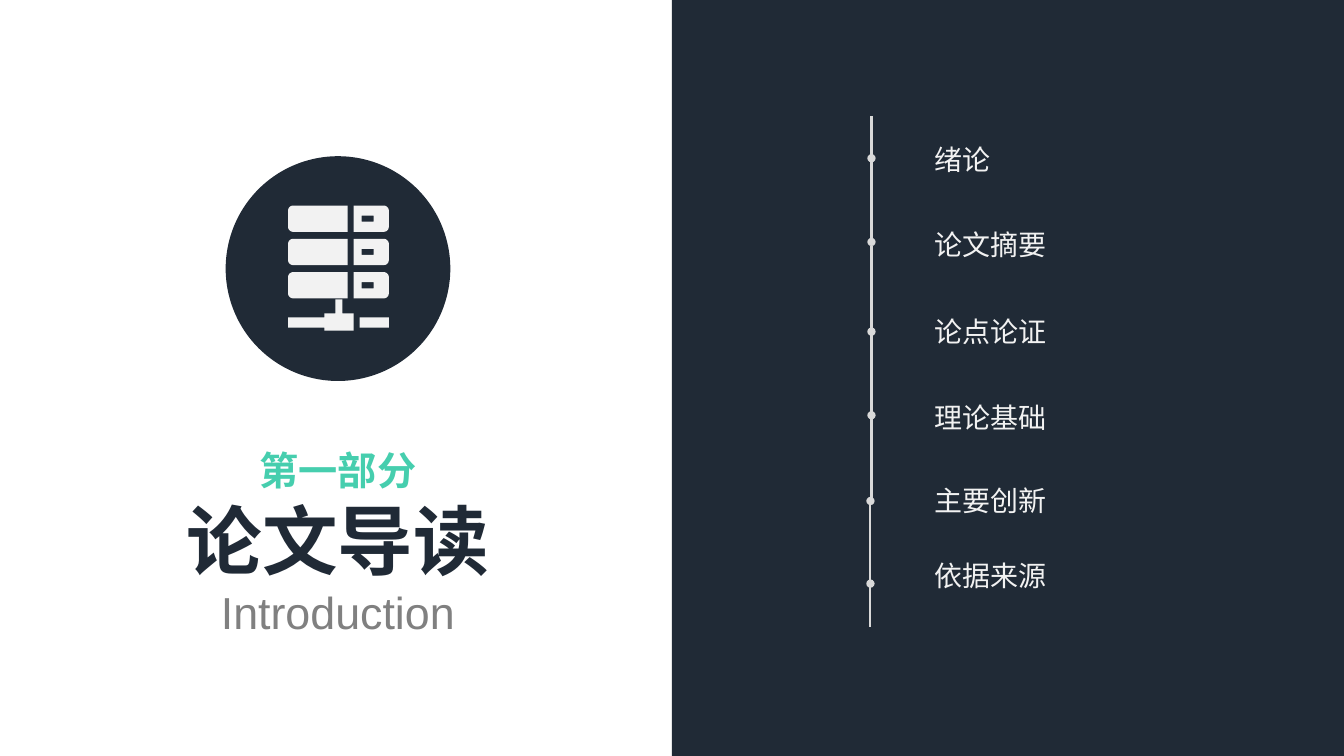
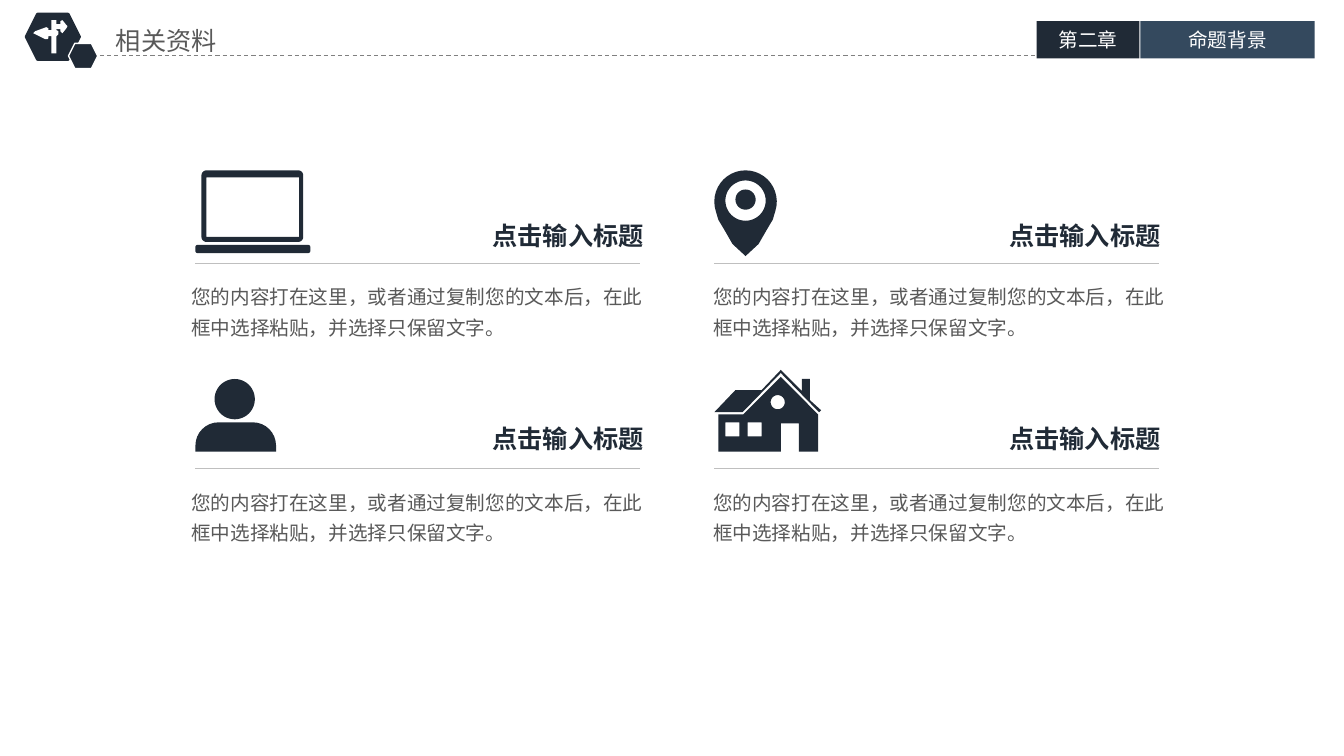
from itertools import pairwise
from math import cos, pi, sin

from lxml import etree
from pptx import Presentation
from pptx.dml.color import RGBColor
from pptx.enum.dml import MSO_LINE
from pptx.enum.shapes import MSO_CONNECTOR, MSO_SHAPE
from pptx.enum.text import MSO_ANCHOR, MSO_AUTO_SIZE, PP_ALIGN
from pptx.oxml.ns import qn
from pptx.util import Inches, Pt

# Shared look
SLIDE_W, SLIDE_H = 13.34, 7.5
NAVY = RGBColor(0x20, 0x2A, 0x36)
SLATE = RGBColor(0x34, 0x49, 0x5E)
GREEN = RGBColor(0x46, 0xCE, 0xAE)
WHITE = RGBColor(0xFF, 0xFF, 0xFF)
PALE = RGBColor(0xF2, 0xF2, 0xF2)
SILVER = RGBColor(0xD9, 0xD9, 0xD9)
RULE = RGBColor(0xBF, 0xBF, 0xBF)
GRAY = RGBColor(0x80, 0x80, 0x80)
BODY = RGBColor(0x59, 0x59, 0x59)
CJK, LATIN = "Noto Sans CJK SC", "Arial"

RECT, OVAL, HEXAGON = MSO_SHAPE.RECTANGLE, MSO_SHAPE.OVAL, MSO_SHAPE.HEXAGON
STRAIGHT, DASH = MSO_CONNECTOR.STRAIGHT, MSO_LINE.DASH
LEFT, CENTER = PP_ALIGN.LEFT, PP_ALIGN.CENTER
TOP, MIDDLE = MSO_ANCHOR.TOP, MSO_ANCHOR.MIDDLE
FIT = MSO_AUTO_SIZE.SHAPE_TO_FIT_TEXT

# Card grid of the second slide
CARD_LEFTS, CARD_RULES, CARD_W = (1.94, 7.09), (2.61, 4.65), 4.41
CARD_TITLE = "点击输入标题"
CARD_TEXT = "您的内容打在这里，或者通过复制您的文本后，在此框中选择粘贴，并选择只保留文字。"

# Agenda: label, top of label, height of its dot, x of its dot
AGENDA = [
    ("绪论", 1.36, 1.57, 8.65),
    ("论文摘要", 2.21, 2.4, 8.65),
    ("论点论证", 3.07, 3.29, 8.65),
    ("理论基础", 3.92, 4.12, 8.65),
    ("主要创新", 4.75, 4.97, 8.64),
    ("依据来源", 5.49, 5.79, 8.64),
]


# Elements
def style(p, size, color, font=CJK, bold=False, align=LEFT, spacing=None):
    p.alignment = align
    p.line_spacing = spacing
    p.font.size, p.font.bold, p.font.name = Pt(size), bold, font
    p.font.color.rgb = color
    def_rpr = p._p.pPr.find(qn("a:defRPr"))
    etree.SubElement(def_rpr, qn("a:ea")).set("typeface", font)


def add_text(slide, box, lines, wrap=False, anchor=TOP, inset=(0.1, 0.05)):
    """lines holds one (text, style arguments) pair for each paragraph."""
    tf = slide.shapes.add_textbox(*map(Inches, box)).text_frame
    tf.word_wrap, tf.auto_size, tf.vertical_anchor = wrap, FIT, anchor
    tf.margin_left = tf.margin_right = Inches(inset[0])
    tf.margin_top = tf.margin_bottom = Inches(inset[1])
    for i, (text, look) in enumerate(lines):
        p = tf.add_paragraph() if i else tf.paragraphs[0]
        p.text = text
        style(p, **look)


def paint(s, fill, line=None, width=1):
    s.shadow.inherit = False
    s.fill.solid()
    s.fill.fore_color.rgb = fill
    if line is None:
        s.line.fill.background()
    else:
        s.line.color.rgb, s.line.width = line, Pt(width)


def add_shape(slide, kind, box, fill, line=None, width=1):
    s = slide.shapes.add_shape(kind, *map(Inches, box))
    paint(s, fill, line, width)
    return s


def add_line(slide, start, end, color, width=0.75, dash=None, dot=False):
    c = slide.shapes.add_connector(STRAIGHT, *map(Inches, start + end))
    c.line.color.rgb, c.line.width = color, Pt(width)
    if dash is not None:
        c.line.dash_style = dash
    if dot:
        ln = c._element.spPr.find(qn("a:ln"))
        etree.SubElement(ln, qn("a:tailEnd")).set("type", "oval")
    etree.SubElement(c._element.spPr, qn("a:effectLst"))


# Icon outlines, in inches from the icon's origin
def arc(x, y, r, start, end, steps=24):
    angles = [pi * (start + (end - start) * i / steps) / 180
              for i in range(steps + 1)]
    return [(x + r * cos(a), y + r * sin(a)) for a in angles]


def circle(x, y, r):
    return arc(x, y, r, 0, 360, 48)


def box(l, t, r, b, tl=0, tr=0, br=0, bl=0):
    """Rectangle with a radius for each corner."""
    corners = [(l + tl, t + tl, tl, 180), (r - tr, t + tr, tr, 270),
               (r - br, b - br, br, 0), (l + bl, b - bl, bl, 90)]
    return [point for x, y, radius, a in corners
            for point in arc(x, y, radius, a, a + 90, 8 if radius else 1)]


def add_icon(slide, origin, contours, color):
    """One freeform; inner contours become holes."""
    paths = [[(Inches(origin[0] + x), Inches(origin[1] + y)) for x, y in c]
             for c in contours]
    fb = slide.shapes.build_freeform(*paths[0][0])
    for i, path in enumerate(paths):
        if i:
            fb.move_to(*path[0])
        fb.add_line_segments(path[1:], close=True)
    paint(fb.convert_to_shape(), color)


def server():
    contours = [box(0, 1.11, 0.36, 1.21), box(0.36, 1.07, 0.65, 1.24),
                box(0.47, 0.93, 0.54, 1.07), box(0.71, 1.11, 1, 1.21)]
    for i in range(3):
        t = 0.33 * i
        contours += [box(0, t, 0.59, t + 0.26, tl=0.05, bl=0.05),
                     box(0.65, t, 1, t + 0.26, tr=0.05, br=0.05),
                     box(0.73, t + 0.1, 0.85, t + 0.16)]
    return contours


def pin():
    flank = [(0.27, 0.57), (0.21, 0.67), (0.13, 0.81)]
    body = arc(0.31, 0.39, 0.31, 163, 377)
    body += [(0.31 + x, y) for x, y in flank] + [(0.31, 0.93)]
    body += [(0.31 - x, y) for x, y in reversed(flank)]
    return [body, circle(0.31, 0.38, 0.2), circle(0.31, 0.37, 0.1)]


LAPTOP = [box(0, 0.82, 1.14, 0.9, 0.02, 0.02, 0.02, 0.02),
          box(0.06, 0.08, 1.07, 0.79, 0.05, 0.05, 0.05, 0.05),
          box(0.11, 0.15, 1.03, 0.74)]
PERSON = [circle(0.39, 0.31, 0.2), box(0, 0.54, 0.8, 0.83, tl=0.23, tr=0.23)]
HOUSE = [
    [(1.03, 0.46), (0.66, 0.09), (0.29, 0.46), (0.04, 0.46), (0.04, 0.83),
     (0.66, 0.83), (0.66, 0.55), (0.84, 0.55), (0.84, 0.83), (1.03, 0.83)],
    [(1.06, 0.42), (1.04, 0.44), (0.66, 0.05), (0.28, 0.44), (0, 0.44),
     (0.21, 0.22), (0.47, 0.22), (0.66, 0.02), (0.87, 0.23), (0.87, 0.11),
     (0.95, 0.11), (0.95, 0.32)],
    box(0.11, 0.54, 0.25, 0.68), box(0.33, 0.54, 0.47, 0.68),
    circle(0.63, 0.34, 0.07),
]
SIGNPOST = [[
    (0.33, 0.05), (0.29, 0), (0.27, 0.01), (0.27, 0.04), (0.23, 0.04),
    (0.23, 0), (0.18, 0), (0.18, 0.1), (0.15, 0.1), (0.15, 0.08),
    (0.13, 0.07), (0.02, 0.11), (0, 0.13), (0.02, 0.14), (0.12, 0.19),
    (0.14, 0.19), (0.15, 0.18), (0.15, 0.16), (0.18, 0.16), (0.18, 0.33),
    (0.23, 0.33), (0.23, 0.16), (0.25, 0.14), (0.25, 0.11), (0.23, 0.1),
    (0.23, 0.09), (0.27, 0.09), (0.27, 0.11), (0.29, 0.13), (0.33, 0.08),
    (0.34, 0.06),
]]


# Slides
def section_slide(slide):
    # Section title
    add_text(slide, (1.74, 4.85, 3.23, 1.55), [
        ("论文导读", dict(size=54, color=NAVY, bold=True, align=CENTER)),
        ("Introduction", dict(size=32, color=GRAY, font=LATIN, align=CENTER)),
    ])
    add_text(slide, (2.47, 4.38, 1.77, 0.57), [
        ("第一部分", dict(size=28, color=GREEN, bold=True, align=CENTER))])
    add_shape(slide, OVAL, (2.24, 1.55, 2.23, 2.23), NAVY)
    add_icon(slide, (2.86, 2.04), server(), PALE)

    # Agenda panel with its timeline
    add_shape(slide, RECT, (SLIDE_W / 2, 0, SLIDE_W / 2, SLIDE_H), NAVY)
    for label, top, _, _ in AGENDA:
        add_text(slide, (9.18, top, 0.2 + 0.28 * len(label), 0.44),
                 [(label, dict(size=20, color=PALE))])
    dots = [(x, y) for _, _, y, x in reversed(AGENDA)]
    for (_, start), (x, end) in pairwise([(8.64, 6.22)] + dots):
        add_line(slide, (x, start), (x, end), SILVER, 1.5, dot=True)
    add_line(slide, dots[-1], (8.65, 1.15), SILVER, 1.5)


def add_header(slide, title, tags):
    add_text(slide, (1.08, 0.21, 2.05, 0.38),
             [(title, dict(size=18, color=BODY))], True, inset=(0.07, 0.04))
    add_shape(slide, HEXAGON, (0.26, 0.14, 0.53, 0.45), NAVY, NAVY, 2)
    add_line(slide, (0.92, 0.55), (10.29, 0.55), GRAY, dash=DASH)
    add_shape(slide, HEXAGON, (0.68, 0.43, 0.29, 0.25), NAVY, WHITE)
    add_icon(slide, (0.33, 0.2), SIGNPOST, WHITE)
    for text, left, width, fill in tags:
        s = add_shape(slide, RECT, (left, 0.21, width, 0.37), fill)
        tf = s.text_frame
        tf.vertical_anchor = MIDDLE
        tf.margin_top = tf.margin_bottom = 0
        tf.text = text
        style(tf.paragraphs[0], 14, WHITE, align=CENTER)


def add_card(slide, col, row, icon):
    left, rule = CARD_LEFTS[col], CARD_RULES[row]
    add_icon(slide, (left, rule - 1), icon, NAVY)
    add_line(slide, (left, rule), (left + CARD_W, rule), RULE)
    add_text(slide, ((4.79, 9.92)[col], (2.14, 4.15)[row], 1.72, 0.4),
             [(CARD_TITLE, dict(size=18, color=NAVY, bold=True))],
             anchor=MIDDLE)
    add_text(slide, ((1.8, 6.98)[col], rule + 0.1, 4.7, 0.71),
             [(CARD_TEXT, dict(size=14, color=BODY, spacing=1.3))], True)


def materials_slide(slide):
    add_header(slide, "相关资料", [("第二章", 10.29, 1.02, NAVY),
                                  ("命题背景", 11.32, 1.73, SLATE)])
    for i, icon in enumerate([LAPTOP, pin(), PERSON, HOUSE]):
        add_card(slide, i % 2, i // 2, icon)


def main():
    prs = Presentation()
    prs.slide_width, prs.slide_height = Inches(SLIDE_W), Inches(SLIDE_H)
    for build in (section_slide, materials_slide):
        build(prs.slides.add_slide(prs.slide_layouts[6]))
    prs.save("out.pptx")


if __name__ == "__main__":
    main()
